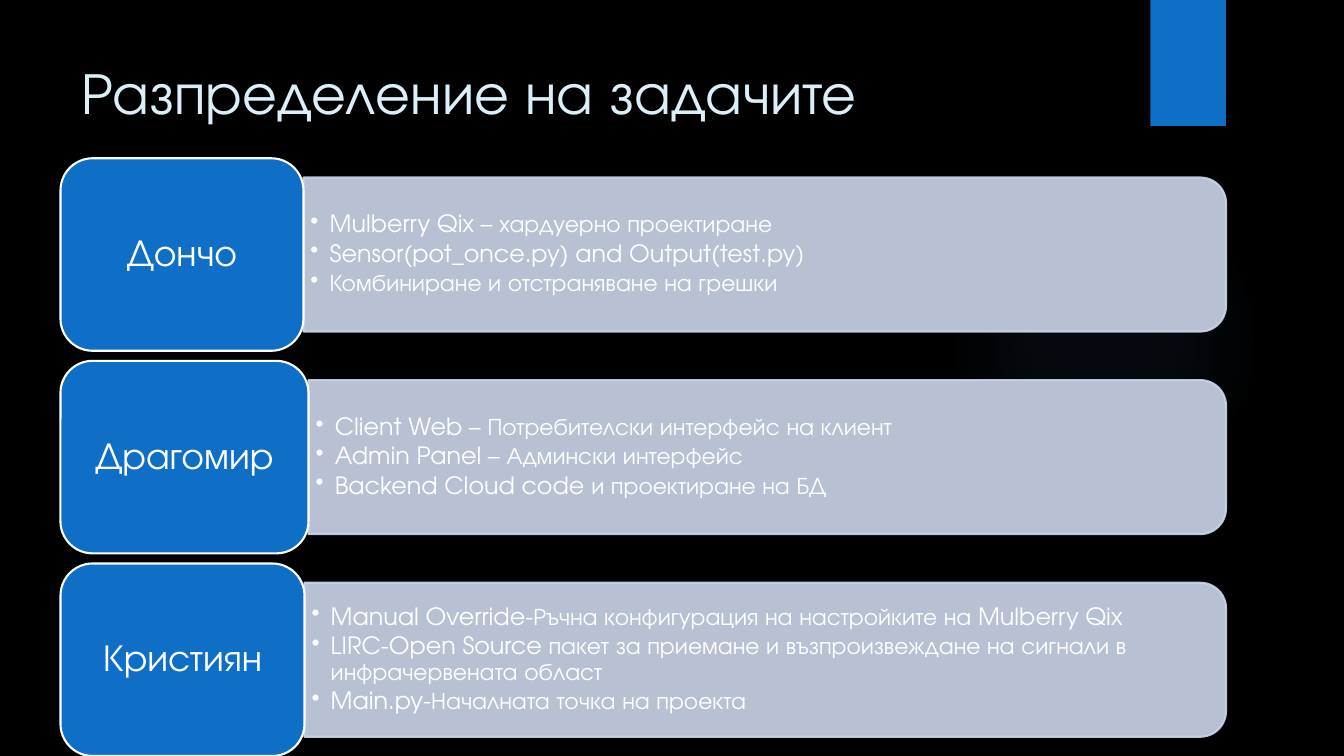
from lxml import etree
from pptx import Presentation
from pptx.dml.color import RGBColor
from pptx.enum import shapes, text
from pptx.oxml import parse_xml
from pptx.oxml import ns
from pptx.util import Inches, Pt

BLACK = RGBColor(0x00, 0x00, 0x00)
WHITE = RGBColor(0xFF, 0xFF, 0xFF)
BLUE = RGBColor(0x0F, 0x6F, 0xC6)
GLOW = RGBColor(0x44, 0x8A, 0xD7)
PANEL = RGBColor(0xCC, 0xD5, 0xEA)
TITLE = RGBColor(0xDB, 0xEF, 0xF9)
FONT = "TeX Gyre Adventor"

TASKS = [
    ("Дончо", 2.41, [
        "Mulberry Qix – хардуерно проектиране",
        "Sensor(pot_once.py) and Output(test.py)",
        "Комбиниране и отстраняване на грешки",
    ]),
    ("Драгомир", 2.46, [
        "Client Web – Потребителски интерфейс на клиент",
        "Admin Panel – Админски интерфейс",
        "Backend Cloud code и проектиране на БД",
    ]),
    ("Кристиян", 2.42, [
        "Manual Override-Ръчна конфигурация на настройките на Mulberry Qix",
        "LIRC-Open Source пакет за приемане и възпроизвеждане на сигнали в "
        "инфрачервената област",
        "Main.py-Началната точка на проекта",
    ]),
]


def apply(target, values):
    for name, value in values.items():
        setattr(target, name, value)


def add_text(p, words, size, color):
    r = p.add_run()
    r.text = words
    apply(r.font, {"name": FONT, "size": Pt(size)})
    r.font.color.rgb = color


def add_block(s, kind, left, top, width, height, fill, line=None):
    sp = s.shapes.add_shape(kind, Inches(left), Inches(top),
                            Inches(width), Inches(height))
    sp.shadow.inherit = False
    sp.fill.solid()
    sp.fill.fore_color.rgb = fill
    if line is None:
        sp.line.fill.background()
    else:
        sp.line.color.rgb = line
        sp.line.width = Pt(1.5)
    return sp


def set_insets(tf, side, edge):
    apply(tf, {"word_wrap": True, "vertical_anchor": text.MSO_ANCHOR.MIDDLE,
               "margin_left": Inches(side), "margin_right": Inches(side),
               "margin_top": Inches(edge), "margin_bottom": Inches(edge)})


def add_glow(s, left, top, size):
    sp = add_block(s, shapes.MSO_SHAPE.OVAL, left, top, size, size, GLOW)
    stops = "".join(
        f'<a:gs pos="{pos}000"><a:srgbClr val="{GLOW}">'
        f'<a:alpha val="{alpha}000"/></a:srgbClr></a:gs>'
        for pos, alpha in [(0, 7), (36, 6), (69, 0), (100, 0)])
    gradient = parse_xml(
        f'<a:gradFill {ns.nsdecls("a")}><a:gsLst>{stops}</a:gsLst>'
        '<a:path path="circle"><a:fillToRect l="50000" t="50000" '
        'r="50000" b="50000"/></a:path></a:gradFill>')
    props = sp.element.spPr
    props.replace(props.find(ns.qn("a:solidFill")), gradient)


def add_title(s, left, top, width, height, words):
    sp = s.shapes.title
    apply(sp, {"left": Inches(left), "top": Inches(top),
               "width": Inches(width), "height": Inches(height)})
    tf = sp.text_frame
    apply(tf, {"word_wrap": True, "vertical_anchor": text.MSO_ANCHOR.TOP})
    p = tf.paragraphs[0]
    p.alignment = text.PP_ALIGN.LEFT
    add_text(p, words, 42, TITLE)


def add_panel(s, left, top, width, height):
    sp = add_block(s, shapes.MSO_SHAPE.ROUND_2_SAME_RECTANGLE,
                   left + (width - height) / 2, top - (width - height) / 2,
                   height, width, PANEL, PANEL)
    sp.rotation = 90
    for color in sp.element.spPr.iter(ns.qn("a:srgbClr")):
        etree.SubElement(color, ns.qn("a:alpha"), val="90000")


def add_bullets(s, left, top, width, height, items):
    tf = s.shapes.add_textbox(Inches(left), Inches(top), Inches(width),
                              Inches(height)).text_frame
    set_insets(tf, 0.07, 0.04)
    for i, item in enumerate(items):
        p = tf.add_paragraph() if i else tf.paragraphs[0]
        apply(p, {"line_spacing": 0.9, "space_after": Pt(2.55)})
        props = p._p.get_or_add_pPr()
        props.set("marL", str(Inches(0.19)))
        props.set("indent", str(-Inches(0.19)))
        etree.SubElement(props, ns.qn("a:buChar"), char="•")
        add_text(p, item, 17, WHITE)


def add_task_row(s, left, top, width, height, name, label_width, items):
    panel_left = left + label_width
    panel_width = width - label_width
    panel_height = height * 0.8
    add_panel(s, panel_left, top + height * 0.1, panel_width, panel_height)
    add_bullets(s, panel_left, top + (height - 1.38) / 2,
                panel_width - 0.08, 1.38, items)
    sp = add_block(s, shapes.MSO_SHAPE.ROUNDED_RECTANGLE,
                   left, top, label_width, height, BLUE, WHITE)
    set_insets(sp.text_frame, 0.11, 0.06)
    p = sp.text_frame.paragraphs[0]
    apply(p, {"alignment": text.PP_ALIGN.CENTER, "line_spacing": 0.9})
    add_text(p, name, 27, WHITE)


def add_task_list(s, left, top, width, row_height, gap):
    for i, (name, label_width, items) in enumerate(TASKS):
        add_task_row(s, left, top + i * (row_height + gap), width, row_height,
                     name, label_width, items)


def main():
    prs = Presentation()
    apply(prs, {"slide_width": Inches(13.33), "slide_height": Inches(7.5)})
    s = prs.slides.add_slide(prs.slide_layouts[5])
    s.background.fill.solid()
    s.background.fill.fore_color.rgb = BLACK
    add_glow(s, 9.41, 1.83, 3.08)
    add_block(s, shapes.MSO_SHAPE.RECTANGLE, 11.41, 0, 0.75, 1.25, BLUE)
    add_title(s, 0.71, 0.5, 10.29, 1.53, "Разпределение на задачите")
    add_task_list(s, 0.6, 1.57, 11.56, 1.91, 0.1)
    prs.save("out.pptx")


if __name__ == "__main__":
    main()
